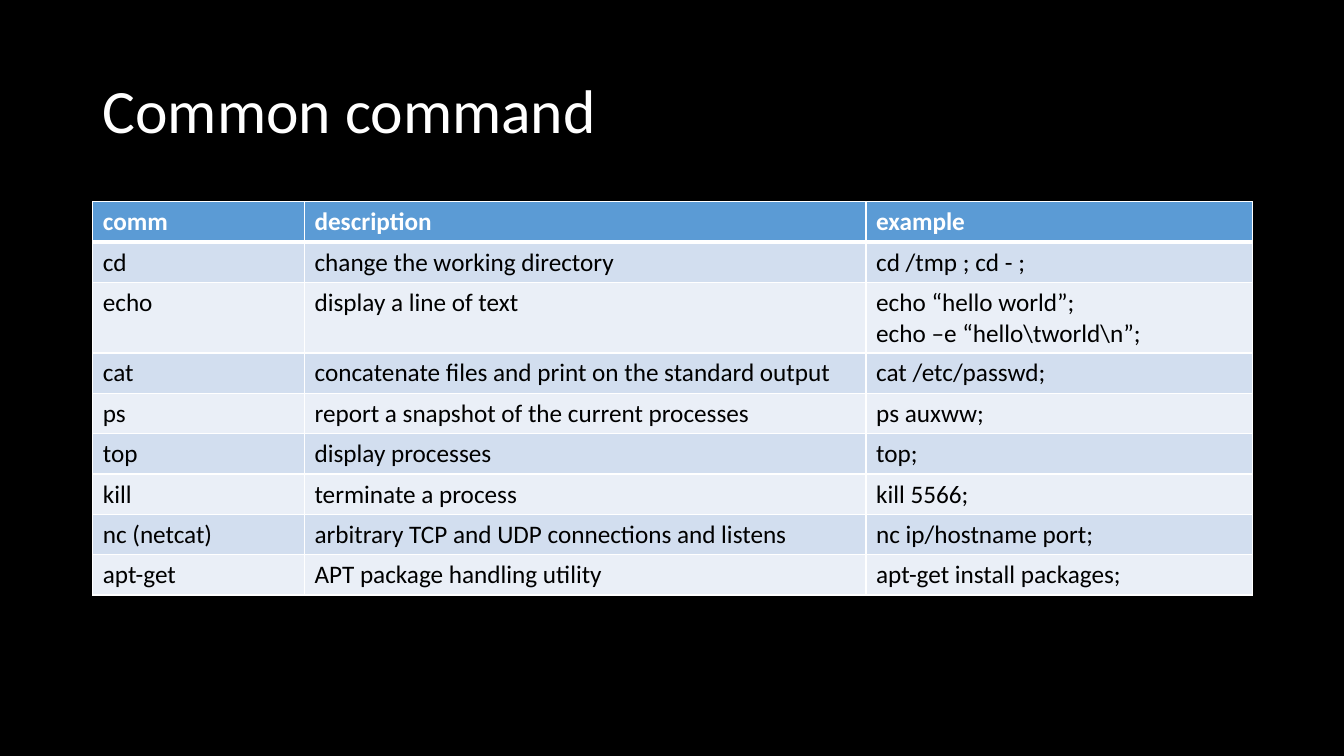
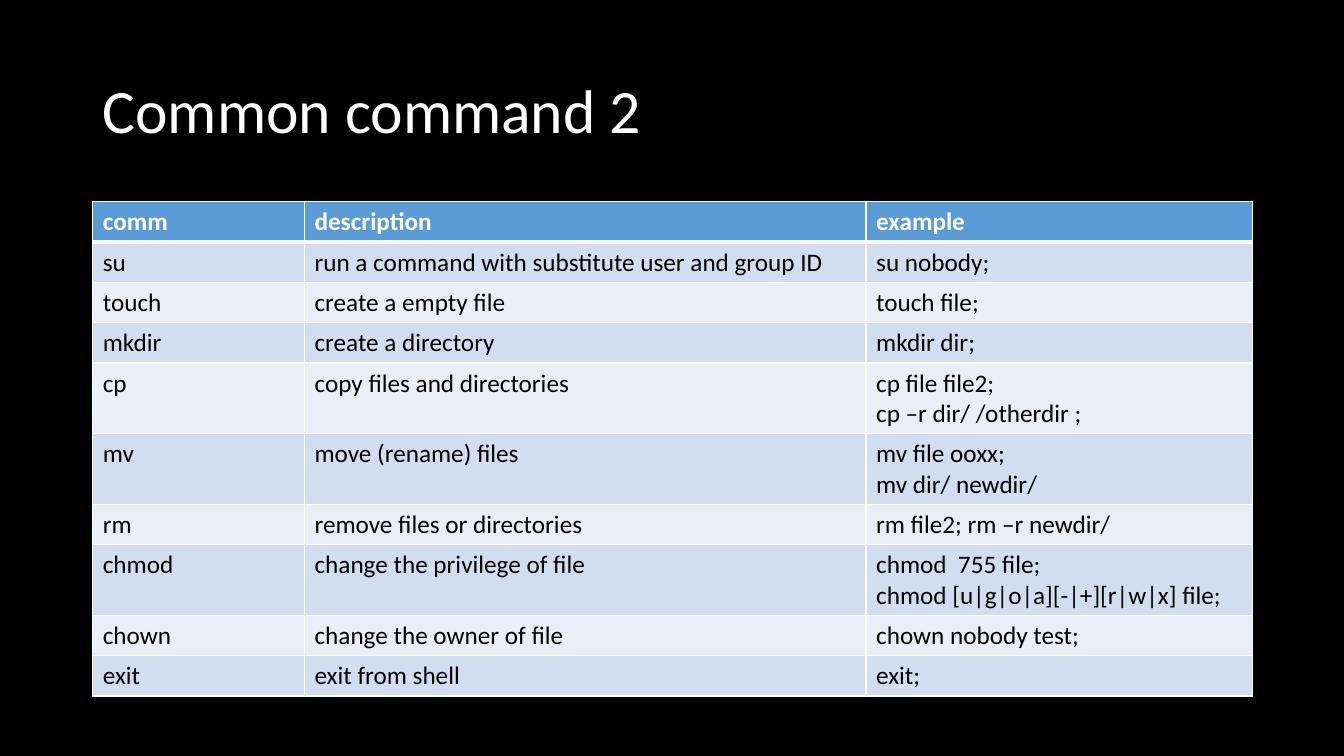
"""Build two slides that list common shell commands in matching tables."""
from lxml import etree
from pptx import Presentation
from pptx import util as u
from pptx.dml.color import RGBColor
from pptx.enum import text
from pptx.oxml import ns

BLACK = RGBColor(0x00, 0x00, 0x00)
WHITE = RGBColor(0xFF, 0xFF, 0xFF)
HEADER_BLUE = RGBColor(0x5B, 0x9B, 0xD5)
BAND_FILLS = [RGBColor(0xEA, 0xEF, 0xF7), RGBColor(0xD2, 0xDE, 0xEF)]

LEFT, WIDTH = u.Inches(0.92), u.Inches(11.5)
TITLE_TOP, TITLE_HEIGHT = u.Inches(0.4), u.Inches(1.45)
TABLE_TOP = u.Inches(2)
COLUMN_WIDTHS = [2.1, 5.57, 3.83]
ROW_HEIGHT, EXTRA_LINE = 0.4, 0.3
THIN, THICK = u.Pt(1), u.Pt(3)

TITLE_FONT = {"name": "Calibri", "size": u.Pt(44)}
HEADER_FONT = {"name": "Calibri", "size": u.Pt(18), "bold": True}
BODY_FONT = {**HEADER_FONT, "bold": False}

HEADER = ("comm", "description", "example")
COMMAND_TABLES = {
    "Common command": [
        ("cd", "change the working directory", "cd /tmp ; cd - ;"),
        ("echo", "display a line of text",
         "echo “hello world”;\necho –e “hello\\tworld\\n”;"),
        ("cat", "concatenate files and print on the standard output",
         "cat /etc/passwd;"),
        ("ps", "report a snapshot of the current processes", "ps auxww;"),
        ("top", "display processes", "top;"),
        ("kill", "terminate a process", "kill 5566;"),
        ("nc (netcat)", "arbitrary TCP and UDP connections and listens",
         "nc ip/hostname port;"),
        ("apt-get", "APT package handling utility",
         "apt-get install packages;"),
    ],
    "Common command 2": [
        ("su", "run a command with substitute user and group ID",
         "su nobody;"),
        ("touch", "create a empty file", "touch file;"),
        ("mkdir", "create a directory", "mkdir dir;"),
        ("cp", "copy files and directories",
         "cp file file2;\ncp –r dir/ /otherdir ;"),
        ("mv", "move (rename) files", "mv file ooxx;\nmv dir/ newdir/"),
        ("rm", "remove files or directories", "rm file2; rm –r newdir/"),
        ("chmod", "change the privilege of file",
         "chmod  755 file;\nchmod [u|g|o|a][-|+][r|w|x] file;"),
        ("chown", "change the owner of file", "chown nobody test;"),
        ("exit", "exit from shell", "exit;"),
    ],
}


def format_text(frame, font_values, color):
    """Apply font values and a colour to every paragraph of a text frame."""
    for paragraph in frame.paragraphs:
        for run in paragraph.runs:
            for name, value in font_values.items():
                setattr(run.font, name, value)
            run.font.color.rgb = color


def add_borders(cell, line_widths):
    """Draw white cell borders with the width given for each side."""
    properties = cell._tc.get_or_add_tcPr()
    for side, width in line_widths.items():
        line = etree.SubElement(properties, ns.qn(f"a:ln{side}"), w=str(width))
        fill = etree.SubElement(line, ns.qn("a:solidFill"))
        etree.SubElement(fill, ns.qn("a:srgbClr"), val=str(WHITE))


presentation = Presentation()
presentation.slide_width = u.Inches(13.33)
presentation.slide_height = u.Inches(7.5)
blank_layout = presentation.slide_layouts[6]

for title, commands in COMMAND_TABLES.items():
    slide = presentation.slides.add_slide(blank_layout)
    slide.background.fill.solid()
    slide.background.fill.fore_color.rgb = BLACK

    title_frame = slide.shapes.add_textbox(
        LEFT, TITLE_TOP, WIDTH, TITLE_HEIGHT).text_frame
    title_frame.word_wrap = True
    title_frame.vertical_anchor = text.MSO_ANCHOR.MIDDLE
    title_frame.text = title
    title_frame.paragraphs[0].line_spacing = 0.9
    format_text(title_frame, TITLE_FONT, WHITE)

    rows = [HEADER, *commands]
    table = slide.shapes.add_table(
        len(rows), len(HEADER), LEFT, TABLE_TOP, WIDTH,
        u.Inches(ROW_HEIGHT * len(rows))).table
    for column, width in zip(table.columns, COLUMN_WIDTHS):
        column.width = u.Inches(width)

    for row_index, values in enumerate(rows):
        is_header = row_index == 0
        extra_lines = max(value.count("\n") for value in values)
        table.rows[row_index].height = u.Inches(
            ROW_HEIGHT + EXTRA_LINE * extra_lines)
        for column_index, value in enumerate(values):
            cell = table.cell(row_index, column_index)
            cell.text = value
            format_text(cell.text_frame,
                        HEADER_FONT if is_header else BODY_FONT,
                        WHITE if is_header else BLACK)
            add_borders(cell, {"L": THIN, "R": THIN,
                               "T": THICK if row_index == 1 else THIN,
                               "B": THICK if is_header else THIN})
            cell.fill.solid()
            cell.fill.fore_color.rgb = (
                HEADER_BLUE if is_header else BAND_FILLS[row_index % 2])

presentation.save("out.pptx")
